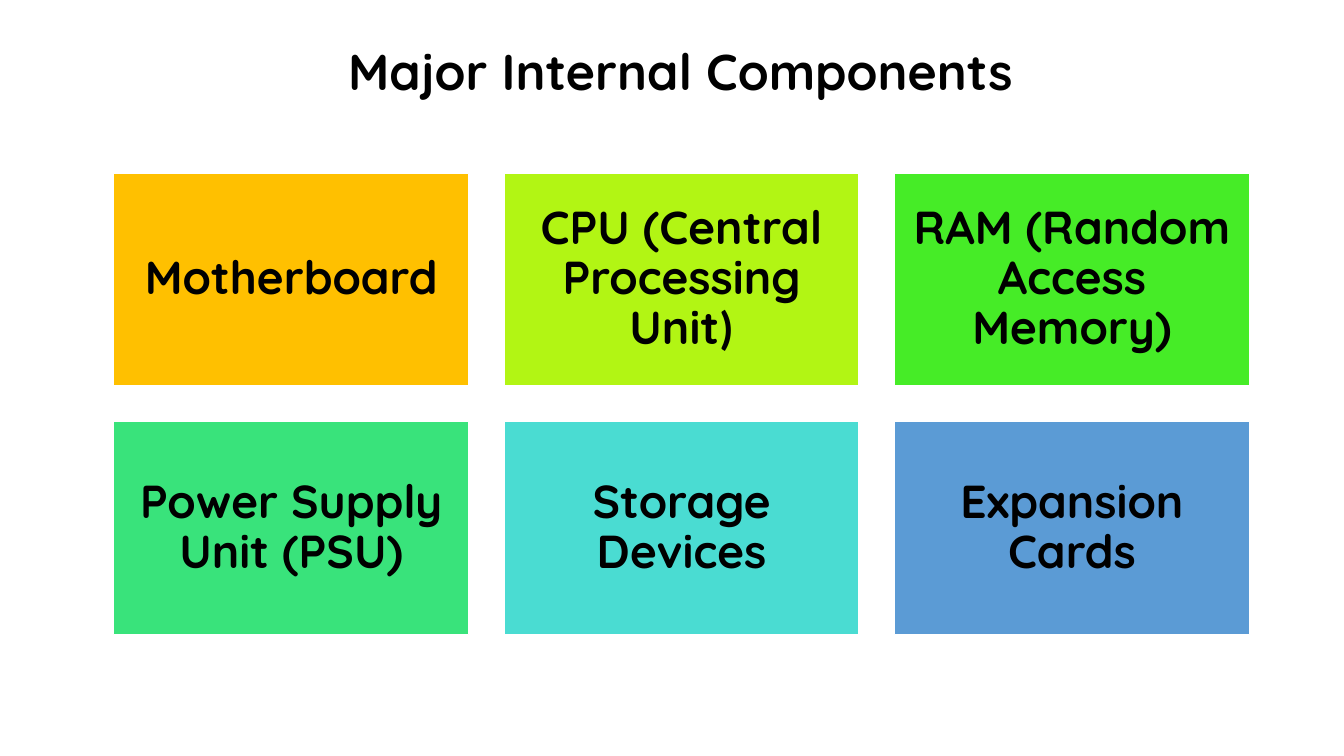
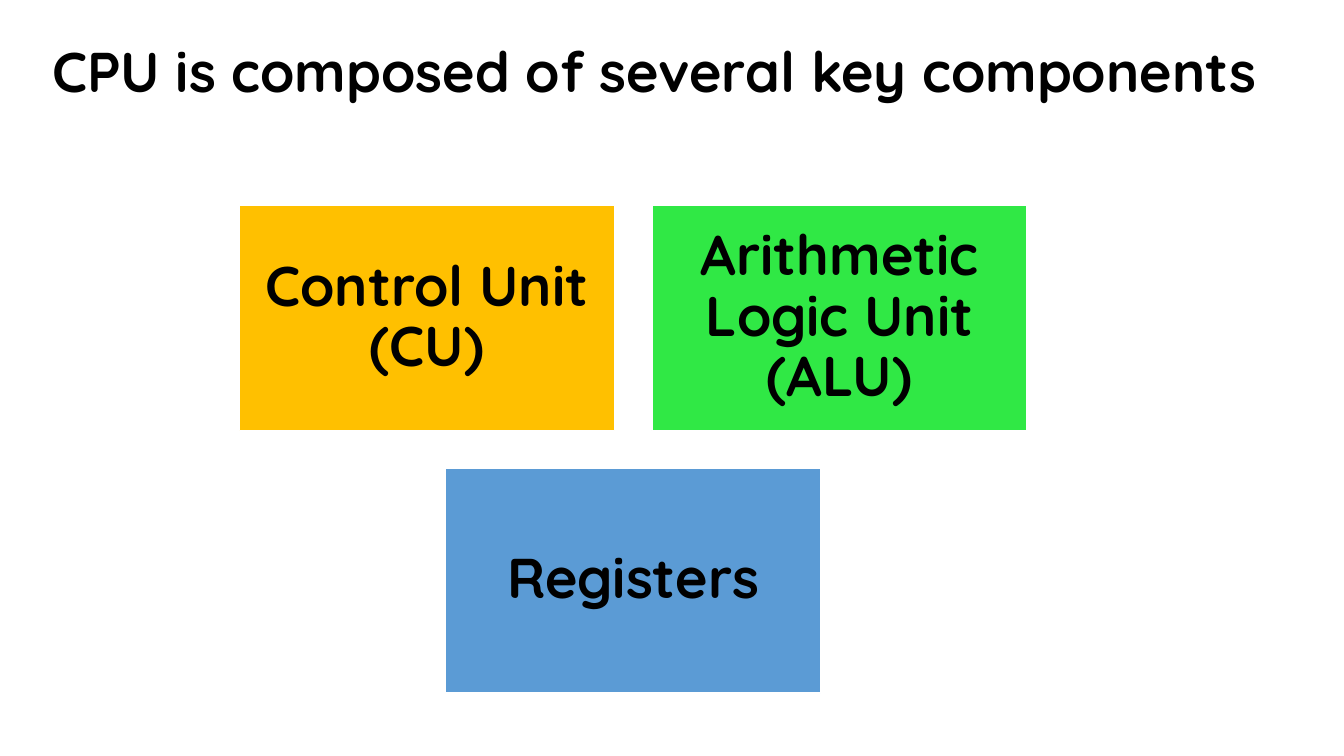
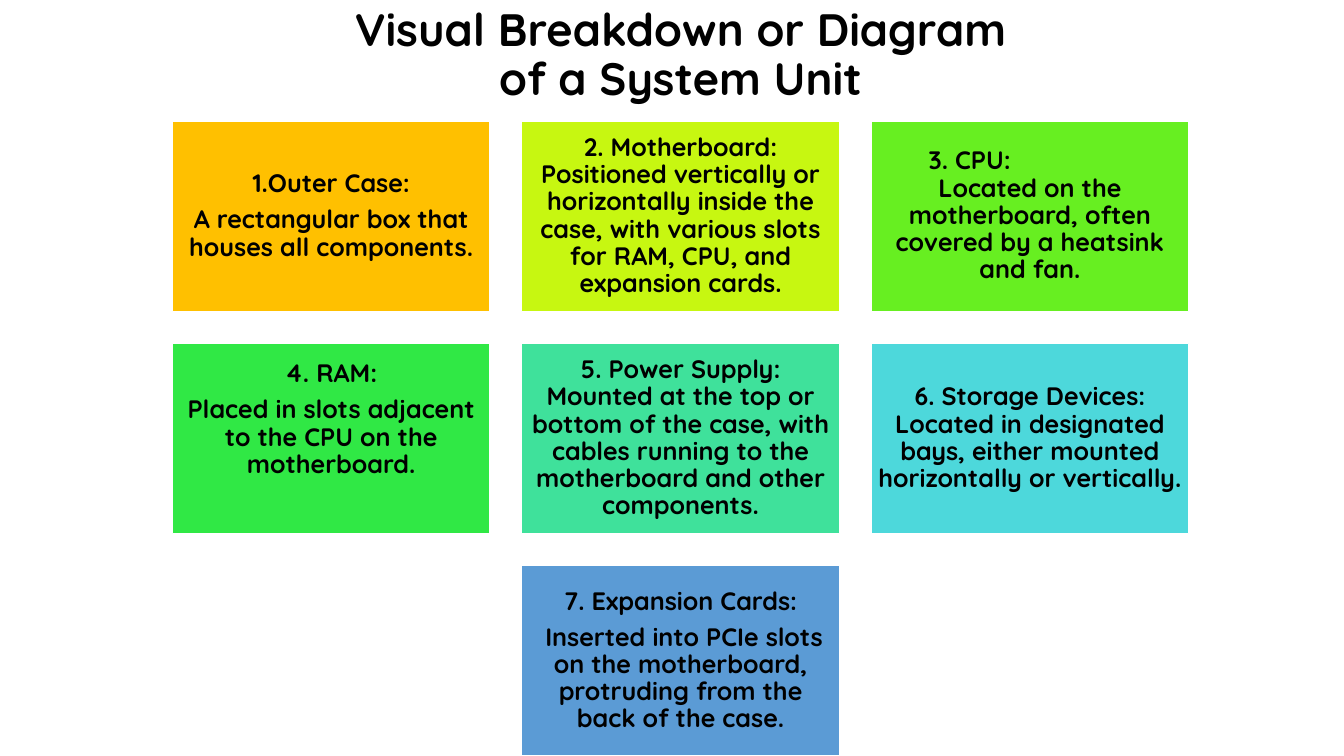
from pptx import Presentation
from pptx.dml.color import RGBColor
from pptx.enum.shapes import MSO_SHAPE
from pptx.enum.text import MSO_ANCHOR, PP_ALIGN
from pptx.util import Pt

PX = 9144
FONT = "Quicksand"
INK, PAPER = "000000", "FFFFFF"
GAP, RATIO = 0.1, 0.6

SLIDES = [
    dict(
        title="Major Internal Components", head=(313, 29, 724, 90), big=36,
        mid=676, top=172, wide=352, cols=3, size=33, pad=14,
        boxes=[
            ("FFC000", ["Motherboard"], {}),
            ("B2F514", ["CPU (Central Processing Unit"], dict(tail=")")),
            ("46EC27", ["RAM (Random Access Memory)"], {}),
            ("39E37B", ["Power Supply Unit (PSU)"], {}),
            ("4ADCD2", ["Storage Devices"], {}),
            ("5B9BD5", ["Expansion Cards"], {}),
        ]),
    dict(
        title="CPU is composed of several key components",
        head=(0, 29, 1298, 90), big=40,
        mid=628, top=204, wide=372, cols=2, size=40, pad=17,
        boxes=[
            ("FFC000", ["Control Unit (CU)"], {}),
            ("30E845", ["Arithmetic Logic Unit (ALU)"], {}),
            ("5B9BD5", ["Registers"], {}),
        ]),
    dict(
        title="Visual Breakdown or Diagram\vof a System Unit",
        head=(313, 11, 724, 90), big=32.4,
        mid=675, top=120, wide=315, cols=3, size=18, pad=7,
        boxes=[
            ("FFC000", ["1.Outer Case:",
                        "A rectangular box that houses all components."], {}),
            ("C7F711", ["2. Motherboard: Positioned vertically or horizontally "
                        "inside the case, with various slots for RAM, CPU, and "
                        "expansion cards."], {}),
            ("67EF21", ["3. CPU:", "Located on the motherboard, often covered "
                        "by a heatsink and fan."], dict(shift=50)),
            ("30E845", ["4. RAM:", "Placed in slots adjacent to the CPU on the "
                        "motherboard."], dict(lift=37)),
            ("3FE19B", ["5. Power Supply: Mounted at the top or bottom of the "
                        "case, with cables running to the motherboard and other "
                        "components."], {}),
            ("4DD8DB", ["6. Storage Devices: Located in designated bays, either "
                        "mounted horizontally or vertically."], {}),
            ("5B9BD5", ["7. Expansion Cards:", " Inserted into PCIe slots on the "
                        "motherboard, protruding from the back of the case."], {}),
        ]),
]


def px(*nums):
    return [round(n * PX) for n in nums]


def tint(code):
    return RGBColor.from_string(code)


def write(shape, paras, size, pads, after=0, tail="", shift=0, lift=0):
    frame = shape.text_frame
    frame.word_wrap = True
    frame.vertical_anchor = MSO_ANCHOR.MIDDLE
    left, top, right, base = pads
    (frame.margin_left, frame.margin_top, frame.margin_right,
     frame.margin_bottom) = px(left, top, right, base + lift)
    for i, text in enumerate(paras):
        para = frame.paragraphs[0] if i == 0 else frame.add_paragraph()
        para.text = text
        para.alignment = PP_ALIGN.CENTER
        para.line_spacing = 0.9
        para.space_after = Pt(size * after)
        if shift and i == 0:
            para.alignment = PP_ALIGN.LEFT
            para.space_after = Pt(0)
            props = para._p.get_or_add_pPr()
            props.set("marL", str(px(shift)[0]))
            props.set("indent", "0")
        if tail:
            para.add_run().text = tail
        for run in para.runs:
            font = run.font
            font.name = "Calibri" if tail and run.text == tail else FONT
            font.size = Pt(size)
            font.bold = True
            font.color.rgb = tint(INK)


def place(count, cols, mid, top, wide):
    tall, gap = wide * RATIO, wide * GAP
    for i in range(count):
        row, col = divmod(i, cols)
        used = min(cols, count - row * cols)
        left = mid - (used * wide + (used - 1) * gap) / 2
        yield left + col * (wide + gap), top + row * (tall + gap), wide, tall


def build(deck, page):
    slide = deck.slides.add_slide(deck.slide_layouts[6])
    fill = slide.background.fill
    fill.solid()
    fill.fore_color.rgb = tint(PAPER)
    title = slide.shapes.add_textbox(*px(*page["head"]))
    write(title, [page["title"]], page["big"], (10, 5, 10, 5))
    boxes = page["boxes"]
    spots = place(len(boxes), page["cols"], page["mid"], page["top"], page["wide"])
    for spot, (color, paras, extra) in zip(spots, boxes):
        box = slide.shapes.add_shape(MSO_SHAPE.RECTANGLE, *px(*spot))
        box.shadow.inherit = False
        box.fill.solid()
        box.fill.fore_color.rgb = tint(color)
        box.line.color.rgb = tint(PAPER)
        box.line.width = Pt(1)
        write(box, paras, page["size"], [page["pad"]] * 4, after=0.35, **extra)


def main():
    deck = Presentation()
    deck.slide_width, deck.slide_height = px(1333, 750)
    for page in SLIDES:
        build(deck, page)
    deck.save("out.pptx")


if __name__ == "__main__":
    main()
